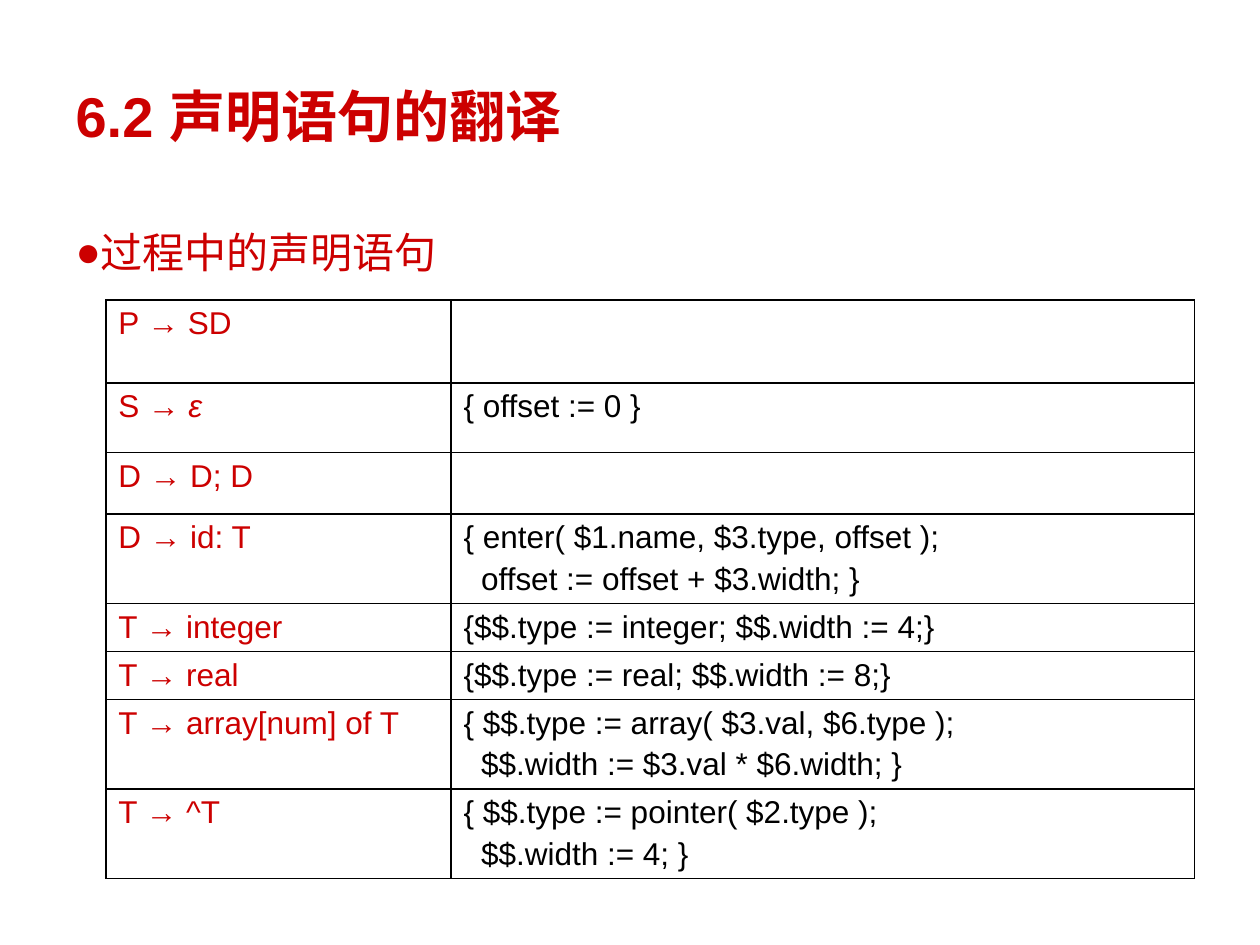
from pptx import Presentation
from pptx import util as u
from pptx.dml import color
from pptx.enum import text
from pptx.oxml import parse_xml
from pptx.oxml.ns import nsdecls

RED, BLACK = "CC0000", "000000"
COLS = [2.74, 5.9]

# Row height, production, action lines
RULES = [
    (0.66, "P → SD", []),
    (0.55, "S → ε", ["{ offset := 0 }"]),
    (0.49, "D → D; D", []),
    (0.71, "D → id: T", ["{ enter( $1.name, $3.type, offset );",
                         "  offset := offset + $3.width; }"]),
    (0.38, "T → integer", ["{$$.type := integer; $$.width := 4;}"]),
    (0.38, "T → real", ["{$$.type := real; $$.width := 8;}"]),
    (0.71, "T → array[num] of T", ["{ $$.type := array( $3.val, $6.type );",
                                   "  $$.width := $3.val * $6.width; }"]),
    (0.71, "T → ^T", ["{ $$.type := pointer( $2.type );",
                      "  $$.width := 4; }"]),
]


def style(font, size, hue, bold=False):
    font.name = "Arial"
    font.size = u.Pt(size)
    font.bold = bold
    font.color.rgb = color.RGBColor.from_string(hue)


def place(shape, left, top, width, height):
    shape.left, shape.top = u.Inches(left), u.Inches(top)
    shape.width, shape.height = u.Inches(width), u.Inches(height)


def fill_holder(shape, words, box, size, anchor, bold=False):
    place(shape, *box)
    frame = shape.text_frame
    frame.text = words
    frame.word_wrap = True
    frame.auto_size = text.MSO_AUTO_SIZE.NONE
    frame.vertical_anchor = anchor
    para = frame.paragraphs[0]
    para.alignment = text.PP_ALIGN.LEFT
    para.space_before = u.Pt(0)
    style(para.runs[0].font, size, RED, bold)
    return para


def add_bullet(para, mark):
    props = para._p.get_or_add_pPr()
    props.set("marL", "0")
    props.set("indent", "0")
    props.append(parse_xml(f'<a:buChar {nsdecls("a")} char="{mark}"/>'))


def add_borders(cell):
    props = cell._tc.get_or_add_tcPr()
    for side in "LRTB":
        props.append(parse_xml(
            f'<a:ln{side} {nsdecls("a")} w="12700"><a:solidFill>'
            f'<a:srgbClr val="{BLACK}"/></a:solidFill></a:ln{side}>'))


def fill_cell(cell, lines, hue):
    add_borders(cell)
    cell.fill.background()
    cell.text_frame.text = "\n".join(lines)
    for i, para in enumerate(cell.text_frame.paragraphs):
        para.space_before = u.Pt(3.6 if i else 0)
        if not para.runs:
            para.font.size = u.Pt(18)
        for run in para.runs:
            style(run.font, 18, hue)


def slant_last(cell):
    """Set the final symbol of a production in italics."""
    para = cell.text_frame.paragraphs[0]
    run = para.runs[0]
    tail = para.add_run()
    run.text, tail.text = run.text[:-1], run.text[-1]
    style(tail.font, 18, RED)
    tail.font.italic = True


def add_rules(slide):
    high = sum(rule[0] for rule in RULES)
    grid = slide.shapes.add_table(
        len(RULES), len(COLS), u.Inches(0.84), u.Inches(2.38),
        u.Inches(sum(COLS)), u.Inches(high)).table
    grid.first_row = grid.horz_banding = False
    for col, width in zip(grid.columns, COLS):
        col.width = u.Inches(width)
    for i, (height, rule, lines) in enumerate(RULES):
        grid.rows[i].height = u.Inches(height)
        fill_cell(grid.cell(i, 0), [rule], RED)
        fill_cell(grid.cell(i, 1), lines, BLACK)
        if rule.endswith("ε"):
            slant_last(grid.cell(i, 0))


def main():
    deck = Presentation()
    deck.slide_width, deck.slide_height = u.Inches(10), u.Inches(7.5)
    slide = deck.slides.add_slide(deck.slide_layouts[1])

    # Title and topic
    fill_holder(slide.shapes.title, "6.2 声明语句的翻译",
                (0.5, 0.5, 6.25, 0.83), 32, text.MSO_ANCHOR.MIDDLE, True)
    topic = fill_holder(slide.placeholders[1], "过程中的声明语句",
                        (0.5, 1.75, 8.92, 0.58), 24, text.MSO_ANCHOR.TOP)
    add_bullet(topic, "●")
    style(topic.font, 24, RED)

    # Translation scheme
    add_rules(slide)
    deck.save("out.pptx")


if __name__ == "__main__":
    main()
